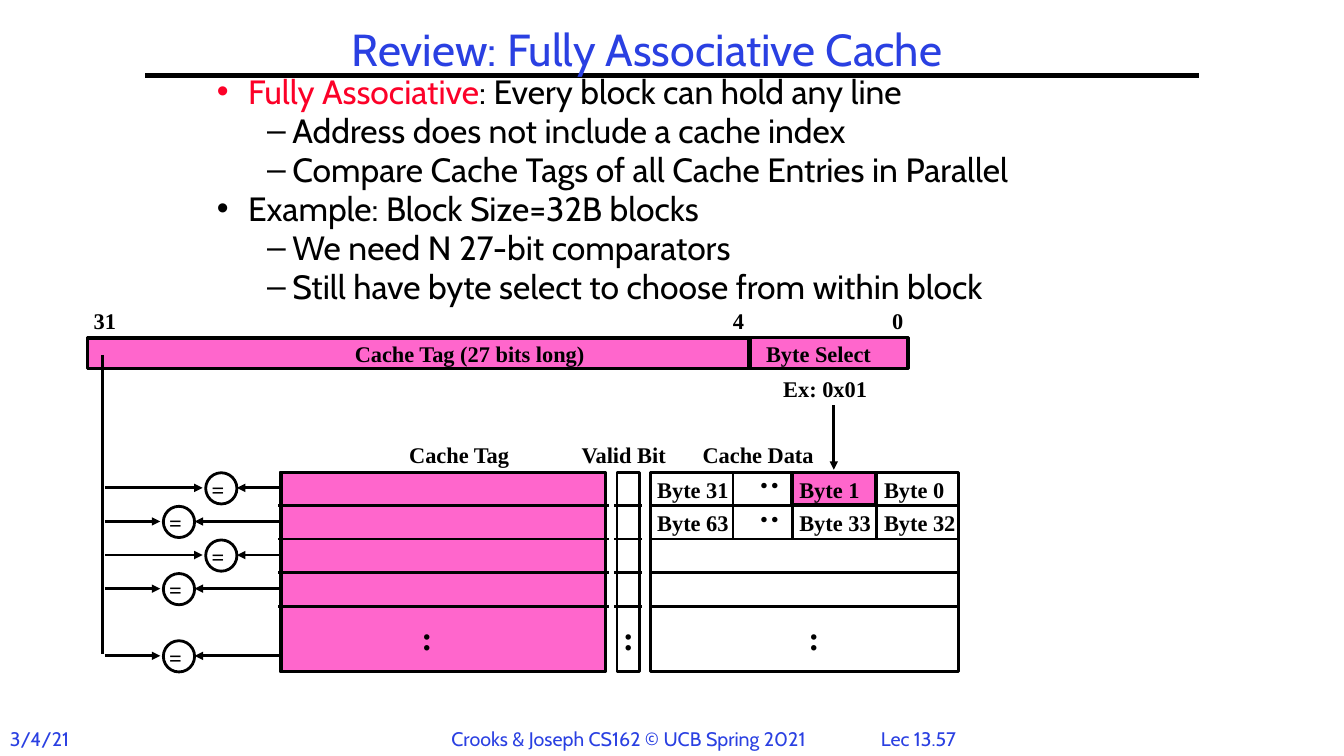
"""Build the fully associative cache review slide."""
import lxml.etree
import pptx
import pptx.dml.color
import pptx.enum.shapes
import pptx.enum.text
import pptx.oxml.ns
import pptx.util

Inches, Pt = pptx.util.Inches, pptx.util.Pt
RGBColor = pptx.dml.color.RGBColor
qn = pptx.oxml.ns.qn
SHAPE = pptx.enum.shapes.MSO_SHAPE
ALIGN = pptx.enum.text.PP_ALIGN
ANCHOR = pptx.enum.text.MSO_ANCHOR

BLACK = RGBColor(0x00, 0x00, 0x00)
BLUE = RGBColor(0x2A, 0x40, 0xE2)
RED = RGBColor(0xFC, 0x01, 0x28)
PINK = RGBColor(0xFF, 0x66, 0xCC)

TITLE = {"name": "Cabin", "size": Pt(32), "bold": False}
BODY = {"name": "Cabin", "size": Pt(24), "bold": False}
FOOTER = {"name": "Cabin", "size": Pt(14), "bold": False}
LABEL = {"name": "Times New Roman", "size": Pt(16), "bold": True}
DOTS = {"name": "Times New Roman", "size": Pt(24), "bold": True}

TOP = 4.68
PITCH = 1 / 3
DIVIDERS = [TOP + PITCH * row for row in range(1, 5)]
COMPARATORS = [(2.04, 0), (1.62, 1), (2.04, 2), (1.62, 3), (1.62, 5)]


def add_text(text, x, y, w, h, fmt, color=BLACK, align=ALIGN.LEFT):
    sp = s.shapes.add_textbox(Inches(x), Inches(y), Inches(w), Inches(h))
    sp.text_frame.word_wrap = False
    p = sp.text_frame.paragraphs[0]
    p.alignment = align
    r = p.add_run()
    r.text = text
    for key, value in fmt.items():
        setattr(r.font, key, value)
    r.font.color.rgb = color
    return sp


def add_line(x1, y1, x2, y2, width=2, arrow=False):
    sp = s.shapes.add_connector(
        pptx.enum.shapes.MSO_CONNECTOR.STRAIGHT,
        Inches(x1), Inches(y1), Inches(x2), Inches(y2))
    sp.line.color.rgb = BLACK
    sp.line.width = Pt(width)
    if arrow:
        ln = sp.line._get_or_add_ln()
        lxml.etree.SubElement(ln, qn("a:tailEnd"), type="triangle")
    lxml.etree.SubElement(sp.element.spPr, qn("a:effectLst"))
    return sp


prs = pptx.Presentation()
prs.slide_width = Inches(13.33)
prs.slide_height = Inches(7.5)
s = prs.slides.add_slide(prs.slide_layouts[1])
title, body = s.placeholders

for sp, box, anchor, wrap in [
    (title, (3.11, 0.25, 6.62, 0.54), ANCHOR.MIDDLE, False),
    (body, (2.08, 0.75, 9.25, 2.82), ANCHOR.TOP, True),
]:
    sp.left, sp.top, sp.width, sp.height = map(Inches, box)
    tf = sp.text_frame
    tf.auto_size = pptx.enum.text.MSO_AUTO_SIZE.NONE
    tf.word_wrap = wrap
    tf.vertical_anchor = anchor
    tf.margin_left = tf.margin_right = Inches(0.07)
    tf.margin_top = tf.margin_bottom = Inches(0.03)

p = title.text_frame.paragraphs[0]
p.alignment = ALIGN.CENTER
p.line_spacing = 0.9
r = p.add_run()
r.text = "Review: Fully Associative Cache"
for key, value in TITLE.items():
    setattr(r.font, key, value)
r.font.color.rgb = BLUE

bullets = [
    (0, [("Fully Associative", RED), (": Every block can hold any line", BLACK)]),
    (1, [("Address does not include a cache index", BLACK)]),
    (1, [("Compare Cache Tags of all Cache Entries in Parallel", BLACK)]),
    (0, [("Example: Block Size=32B blocks", BLACK)]),
    (1, [("We need N 27-bit comparators", BLACK)]),
    (1, [("Still have byte select to choose from within block", BLACK)]),
]
tf = body.text_frame
for i, (level, runs) in enumerate(bullets):
    p = tf.add_paragraph() if i else tf.paragraphs[0]
    margin, indent, mark = [(0.31, -0.31, "•"), (0.75, -0.25, "–")][level]
    pPr = p._p.get_or_add_pPr()
    pPr.set("marL", str(Inches(margin)))
    pPr.set("indent", str(Inches(indent)))
    lxml.etree.SubElement(pPr, qn("a:buChar"), char=mark)
    p.level = level
    p.line_spacing = 0.8
    p.space_before = Pt(4.8 if i else 0)
    for text, color in runs:
        r = p.add_run()
        r.text = text
        for key, value in BODY.items():
            setattr(r.font, key, value)
        r.font.color.rgb = color

title_rule = add_line(1.44, 0.75, 11.89, 0.75, width=3)
s.shapes.element.insert(2, title_rule.element)

for text, x, w, align in [
    ("3/4/21", 0, 0.8, ALIGN.LEFT),
    ("Crooks & Joseph CS162 © UCB Spring 2021", 4.38, 3.76, ALIGN.LEFT),
    ("Lec 13.57", 8.5, 1.22, ALIGN.CENTER),
]:
    add_text(text, x, 7.16, w, 0.34, FOOTER, BLUE, align)

outlines = [
    (SHAPE.RECTANGLE, 2.78, 4.68, 3.22, 1.99, PINK),
    (SHAPE.RECTANGLE, 7.85, 4.69, 0.83, 0.31, PINK),
    (SHAPE.RECTANGLE, 7.43, 3.35, 1.57, 0.31, PINK),
    (SHAPE.RECTANGLE, 0.87, 3.36, 6.55, 0.3, PINK),
    (SHAPE.RECTANGLE, 6.45, 4.69, 3.06, 1.97, None),
    (SHAPE.RECTANGLE, 6.12, 4.69, 0.22, 1.97, None),
    (SHAPE.RECTANGLE, 2.79, 4.69, 3.22, 1.97, None),
    (SHAPE.RECTANGLE, 0.87, 3.35, 8.14, 0.31, None),
]
for x, row in COMPARATORS:
    outlines.append((SHAPE.OVAL, x, TOP + 0.01 + PITCH * row, 0.31, 0.31, None))
for kind, x, y, w, h, fill in outlines:
    sp = s.shapes.add_shape(kind, Inches(x), Inches(y), Inches(w), Inches(h))
    sp.shadow.inherit = False
    if fill:
        sp.fill.solid()
        sp.fill.fore_color.rgb = fill
    else:
        sp.fill.background()
    sp.line.color.rgb = BLACK
    sp.line.width = Pt(1.5 if fill else 2)

for y in DIVIDERS:
    for x1, x2 in [(2.76, 6.04), (6.09, 6.37), (6.45, 9.51)]:
        add_line(x1, y, x2, y)

for row, names in enumerate([("Byte 31", "Byte 1", "Byte 0"),
                             ("Byte 63", "Byte 33", "Byte 32")]):
    y = TOP + PITCH * row
    for name, x in zip(names, (6.42, 7.83, 8.67)):
        add_text(name, x, y - 0.01, 0.8 if len(name) == 6 else 0.92, 0.37, LABEL)
    for x in (7.27, 7.86, 8.69):
        add_line(x, y + 0.01, x, y + 0.32)
    add_text(":", 7.42, y - 0.11, 0.31, 0.5, DOTS).rotation = 270

for x in (4.08, 6.08, 7.92):
    add_text(":", x, 6.07, 0.31, 0.5, DOTS)

for text, x, y, w in [
    ("Cache Tag", 3.96, 4.33, 1.21),
    ("Valid Bit", 5.67, 4.33, 1.06),
    ("Cache Data", 6.87, 4.33, 1.31),
    ("31", 0.83, 3, 0.42),
    ("4", 7.17, 3, 0.31),
    ("0", 8.75, 3, 0.31),
    ("Cache Tag (27 bits long)", 3.42, 3.33, 2.51),
    ("Byte Select", 7.5, 3.33, 1.26),
    ("Ex: 0x01", 7.67, 3.67, 1.04),
]:
    add_text(text, x, y, w, 0.37, LABEL)

for x, row in COMPARATORS:
    y = TOP + PITCH * row
    add_text("=", x - 0.04, y - 0.01, 0.33, 0.37, LABEL)
    add_line(1.04, y + 0.16, x - 0.03, y + 0.16, arrow=True)
    add_line(2.79, y + 0.16, x + 0.31, y + 0.16, arrow=True)

add_line(7.44, 3.35, 7.44, 3.66)
add_line(1.02, 3.52, 1.02, 6.49)
add_line(8.27, 4.02, 8.27, 4.66, arrow=True)

prs.save("out.pptx")
